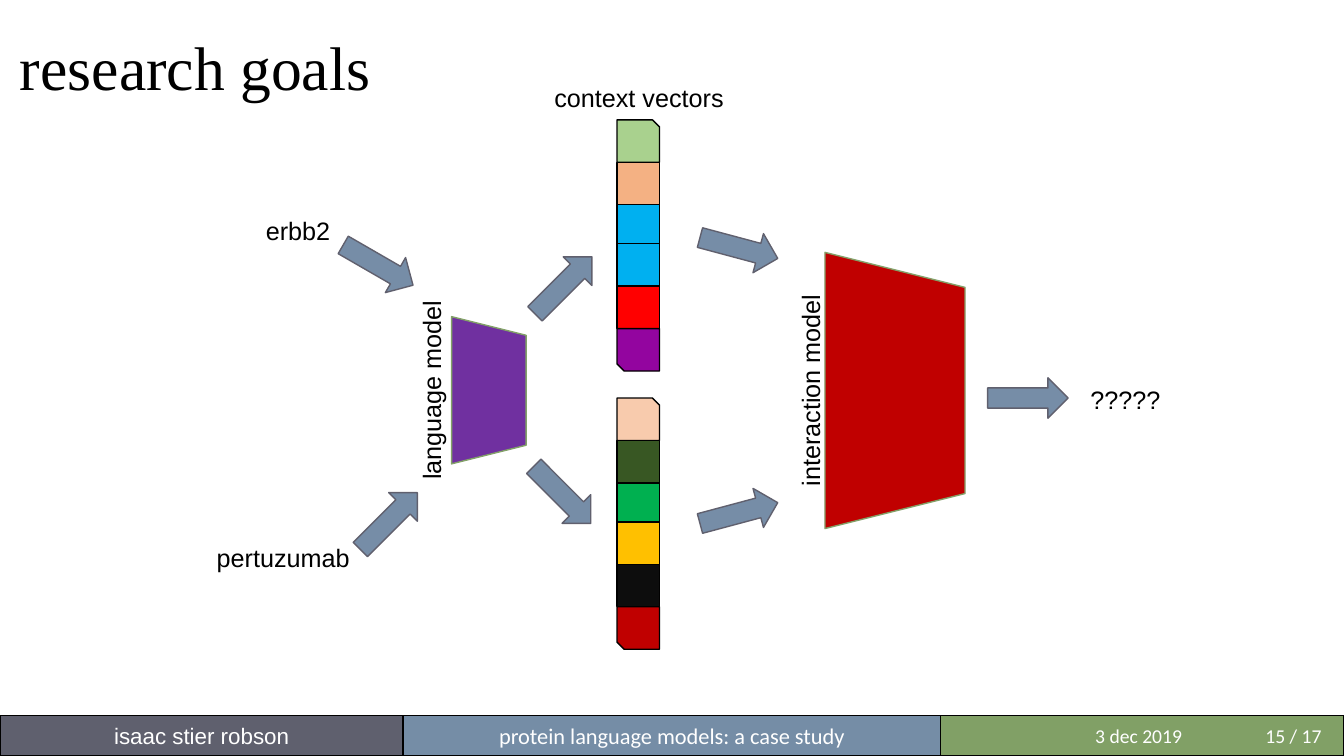
from lxml.etree import SubElement
from pptx import Presentation
from pptx.dml.color import RGBColor
from pptx.enum.shapes import MSO_SHAPE as Kind
from pptx.enum.text import MSO_ANCHOR, PP_ALIGN
from pptx.oxml.ns import qn
from pptx.util import Cm, Pt

ARROW = 2.03, 1.02
ROW = 1.02
CELL = 1.07


def tint(hue):
    """Turn a hex string into a colour."""
    return RGBColor.from_string(hue)


def put(shapes, kind, box, hue, edge="000000", turn=0):
    """Add a filled, outlined preset shape."""
    shape = shapes.add_shape(kind, *map(Cm, box))
    shape.shadow.inherit = False
    shape.fill.solid()
    shape.fill.fore_color.rgb = tint(hue)
    shape.line.color.rgb = tint(edge)
    shape.line.width = Pt(1)
    shape.rotation = turn
    return shape


def write(frame, text, size=18, font="Arial", hue="000000", align=PP_ALIGN.LEFT):
    """Add one styled run to the first paragraph."""
    para = frame.paragraphs[0]
    para.alignment = align
    run = para.add_run()
    run.text = text
    run.font.size = Pt(size)
    run.font.name = font
    run.font.color.rgb = tint(hue)
    return para


def label(slide, box, text, wrap=False, turn=0):
    """Add a text label, centred when it wraps."""
    shape = slide.shapes.add_textbox(*map(Cm, box))
    shape.rotation = turn
    shape.text_frame.word_wrap = wrap
    write(shape.text_frame, text, align=PP_ALIGN.CENTER if wrap else PP_ALIGN.LEFT)


def arrow(slide, x, y, turn=0):
    """Add a block arrow centred on a point."""
    wide, high = ARROW
    box = x - wide / 2, y - high / 2, wide, high
    put(slide.shapes, Kind.RIGHT_ARROW, box, "768DA7", "60606E", turn)


def title(slide, box, text):
    """Place and fill the title."""
    shape = slide.shapes.title
    shape.left, shape.top, shape.width, shape.height = map(Cm, box)
    shape.text_frame.vertical_anchor = MSO_ANCHOR.TOP
    para = write(shape.text_frame, text, 44, "Times New Roman")
    para.line_spacing = 0.9


def inputs(slide, box):
    """Draw the two proteins and their arrows."""
    x, y, wide, high = box
    label(slide, (x + 1.24, y, 2.16, ROW), "erbb2")
    label(slide, (x, y + high - ROW, 3.89, ROW), "pertuzumab")
    arrow(slide, x + 4.32, y + 1.37, 30)
    arrow(slide, x + 4.59, y + 7.82, 315)


def stage(slide, box, name, hue, gap):
    """Draw a model as a trapezoid narrowing rightwards, with its name beside it."""
    x, y, wide, high = box
    mid = y + high / 2
    flat = x + wide / 2 - high / 2, mid - wide / 2, high, wide
    put(slide.shapes, Kind.TRAPEZOID, flat, hue, "83A169", 90)
    long = 5.79
    label(slide, (x - gap - long / 2, mid - ROW / 2, long, ROW), name, True, 270)


def stack(slide, x, y, hues):
    """Draw one vector as a group of cells with snipped ends."""
    group = slide.shapes.add_group_shape()
    last = len(hues) - 1
    for i, hue in enumerate(hues):
        kind = Kind.SNIP_1_RECTANGLE if i in (0, last) else Kind.RECTANGLE
        top = y + i * CELL - (0.09 if i > 2 else 0)
        put(group.shapes, kind, (x, top, CELL, CELL), hue, turn=180 if i == last else 0)


def vectors(slide, box):
    """Draw both context vectors with the arrows into and out of them."""
    x, y, wide, high = box
    label(slide, (x, y, wide, ROW), "context vectors", True)
    left = x + 2.34
    stack(slide, left, y + 1.06,
          ["A9D18E", "F4B183", "00B0F0", "00B0F0", "FF0000", "93059F"])
    stack(slide, left, y + 8.07,
          ["F8CBAD", "385723", "00B050", "FFC000", "0D0D0D", "C00000"])
    for dx, dy, turn in [(0.99, 5.23, 315), (0.96, 10.51, 45),
                         (5.41, 4.29, 15), (5.41, 10.97, 345)]:
        arrow(slide, x + dx, y + dy, turn)


def result(slide, box):
    """Draw the final arrow and the unknown outcome."""
    x, y, wide, high = box
    arrow(slide, x + ARROW[0] / 2, y + high / 2)
    label(slide, (x + 2.34, y + 0.03, wide - 2.34, ROW), "?????")


def footer(slide, box):
    """Draw the three-part bar with author, talk, date and page."""
    x, y, wide, high = box
    parts = [
        (0.3, "4E4F5F", 90, "isaac stier robson", 16, "Arial"),
        (0.4, "67819D", 90, "protein language models: a case study", 16, "Calibri"),
        (0.3, "588133", 75, "3 dec 2019\t15 / 17", 14, "Calibri"),
    ]
    for share, hue, alpha, text, size, font in parts:
        bar = put(slide.shapes, Kind.RECTANGLE, (x, y, wide * share, high), hue)
        fill = bar.fill._xPr.find(qn("a:solidFill"))
        SubElement(fill[0], qn("a:alpha"), val=str(alpha * 1000))
        tabbed = "\t" in text
        align = PP_ALIGN.LEFT if tabbed else PP_ALIGN.CENTER
        para = write(bar.text_frame, text, size, font, "FFFFFF", align)
        if tabbed:
            bar.text_frame.margin_left = Cm(3.89)
            tabs = SubElement(para._p.get_or_add_pPr(), qn("a:tabLst"))
            SubElement(tabs, qn("a:tab"), pos=str(Cm(4.29)), algn="l")
        x += wide * share


def main():
    """Build and save the slide."""
    deck = Presentation()
    deck.slide_width, deck.slide_height = Cm(33.87), Cm(19.05)
    slide = deck.slides.add_slide(deck.slide_layouts[5])
    footer(slide, (0, 18.03, 33.87, 1.02))
    title(slide, (0.25, 0.81, 31.55, 3.68), "research goals")
    inputs(slide, (5.21, 5.31, 5.6, 9.25))
    stage(slide, (11.38, 7.98, 1.88, 3.71), "language model", "7030A0", 0.51)
    vectors(slide, (13.21, 1.96, 5.79, 14.42))
    stage(slide, (20.79, 6.36, 3.53, 6.96), "interaction model", "C00000", 0.37)
    result(slide, (24.89, 9.52, 4.63, 1.02))
    deck.save("out.pptx")


if __name__ == "__main__":
    main()
